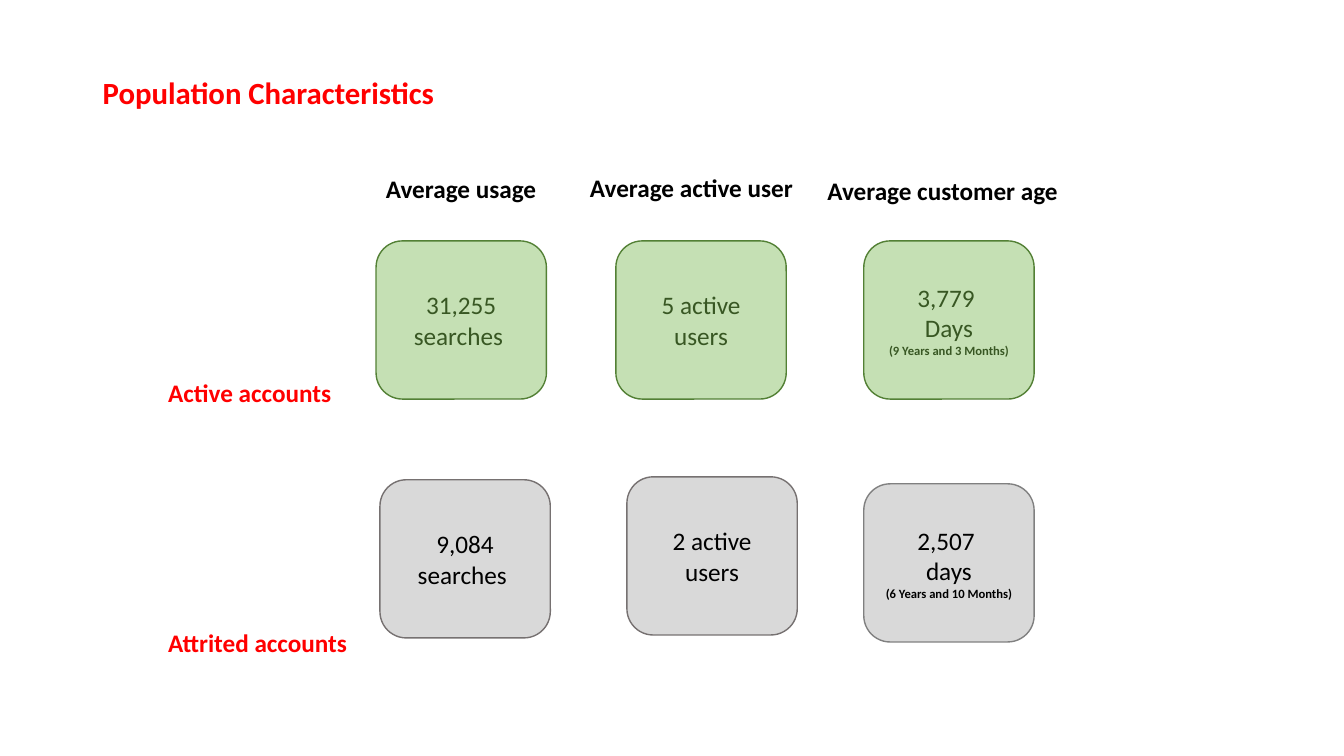
from pptx import Presentation
from pptx.dml.color import RGBColor
from pptx.enum.shapes import MSO_SHAPE
from pptx.enum.text import MSO_ANCHOR, MSO_AUTO_SIZE, PP_ALIGN
from pptx.util import Pt

RED = RGBColor(0xFF, 0x00, 0x00)
BLACK = RGBColor(0x00, 0x00, 0x00)
LIGHT_GREEN = RGBColor(0xC5, 0xE0, 0xB4)
GREEN = RGBColor(0x53, 0x80, 0x35)
DARK_GREEN = RGBColor(0x38, 0x57, 0x23)
LIGHT_GREY = RGBColor(0xD9, 0xD9, 0xD9)
GREY = RGBColor(0x76, 0x71, 0x71)
MID_GREY = RGBColor(0x80, 0x80, 0x80)

CARD_W, CARD_H = 121.7, 113


class SlideBuilder:
    font = "Calibri"
    body_size = 18
    note_size = 9

    def __init__(self, prs):
        self.slide = prs.slides.add_slide(prs.slide_layouts[5])

    def add_run(self, p, text, color, size=body_size, bold=False):
        r = p.add_run()
        r.text = text
        r.font.name = self.font
        r.font.size = Pt(size)
        r.font.bold = bold
        r.font.color.rgb = color

    def title(self, text, left, top, width, height):
        sp = self.slide.shapes.title
        sp.left, sp.top, sp.width, sp.height = map(Pt, (left, top, width, height))
        tf = sp.text_frame
        tf.auto_size = MSO_AUTO_SIZE.NONE
        tf.vertical_anchor = MSO_ANCHOR.MIDDLE
        p = tf.paragraphs[0]
        p.alignment = PP_ALIGN.LEFT
        p.line_spacing = 0.9
        self.add_run(p, text, RED, 22, True)

    def label(self, text, left, top, width, color, align=PP_ALIGN.LEFT):
        sp = self.slide.shapes.add_textbox(Pt(left), Pt(top), Pt(width), Pt(29))
        tf = sp.text_frame
        tf.word_wrap = True
        tf.auto_size = MSO_AUTO_SIZE.SHAPE_TO_FIT_TEXT
        p = tf.paragraphs[0]
        p.alignment = align
        self.add_run(p, text, color, bold=True)

    def card(self, lines, note, left, top, fill, line, color):
        """Rounded box with centred lines and an optional small bold note."""
        sp = self.slide.shapes.add_shape(
            MSO_SHAPE.ROUNDED_RECTANGLE, Pt(left), Pt(top), Pt(CARD_W), Pt(CARD_H))
        sp.shadow.inherit = False
        sp.fill.solid()
        sp.fill.fore_color.rgb = fill
        sp.line.color.rgb = line
        sp.line.width = Pt(1)
        tf = sp.text_frame
        tf.word_wrap = True
        tf.vertical_anchor = MSO_ANCHOR.MIDDLE
        for i, text in enumerate(lines + [note] if note else lines):
            p = tf.paragraphs[0] if i == 0 else tf.add_paragraph()
            p.alignment = PP_ALIGN.CENTER
            is_note = i == len(lines)
            size = self.note_size if is_note else self.body_size
            self.add_run(p, text, color, size, is_note)


def main():
    prs = Presentation()
    prs.slide_width, prs.slide_height = Pt(960), Pt(540)
    s = SlideBuilder(prs)
    s.title("Population Characteristics", 66.2, 28.8, 828, 78)

    s.label("Active accounts", 113, 265.7, 132, RED)
    s.label("Attrited accounts", 113, 444.2, 145, RED)

    s.label("Average usage", 268.6, 120.2, 125, BLACK)
    s.label("Average active user", 409.7, 119.5, 168.5, BLACK, PP_ALIGN.CENTER)
    s.label("Average customer age", 583.9, 121.7, 187, BLACK)

    active_cards = [
        (["31,255 searches "], None, 268.6),
        (["5 active users"], None, 439.9),
        (["3,779 ", "Days"], "(9 Years and 3 Months)", 617),
    ]
    for lines, note, left in active_cards:
        s.card(lines, note, left, 172.1, LIGHT_GREEN, GREEN, DARK_GREEN)

    attrited_cards = [
        (["9,084 searches "], None, 271.4, 342.7, GREY),
        (["2 active users"], None, 447.8, 340.6, GREY),
        (["2,507 ", "days"], "(6 Years and 10 Months)", 617, 345.6, MID_GREY),
    ]
    for lines, note, left, top, line in attrited_cards:
        s.card(lines, note, left, top, LIGHT_GREY, line, BLACK)

    prs.save("out.pptx")


if __name__ == "__main__":
    main()
